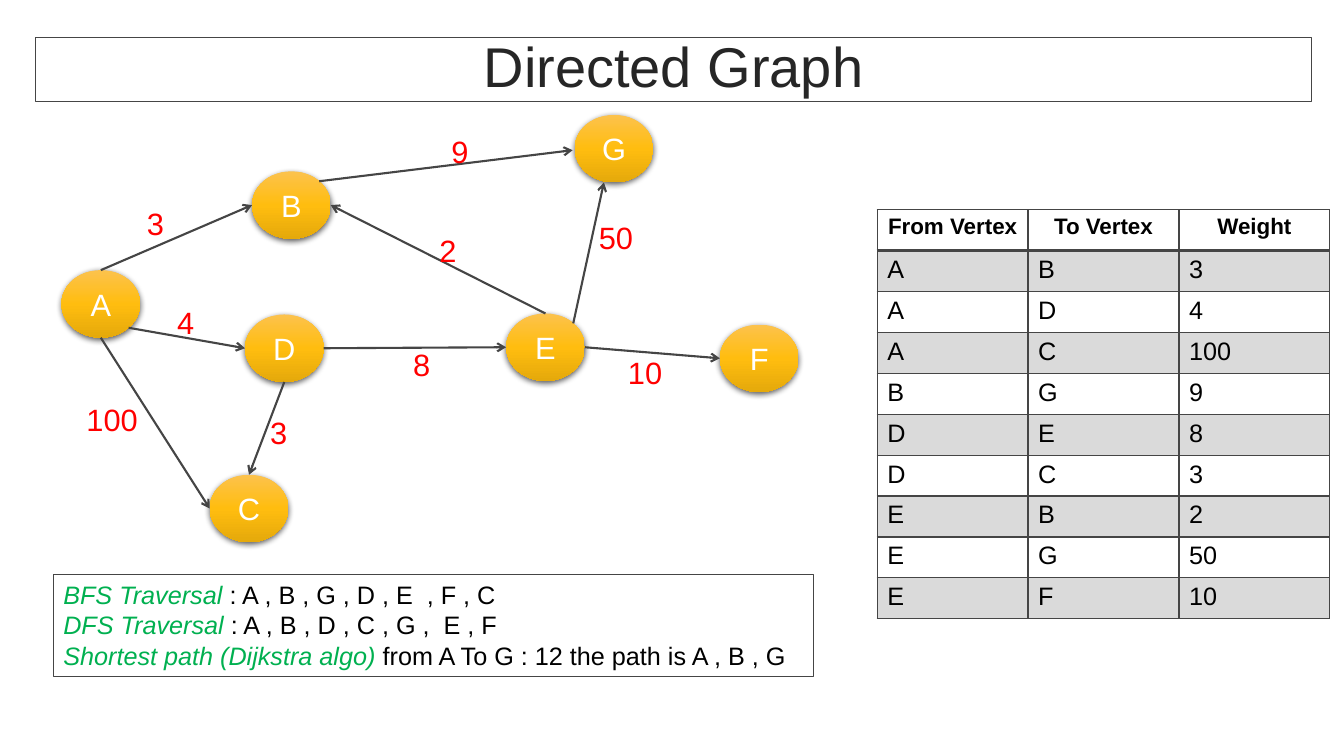
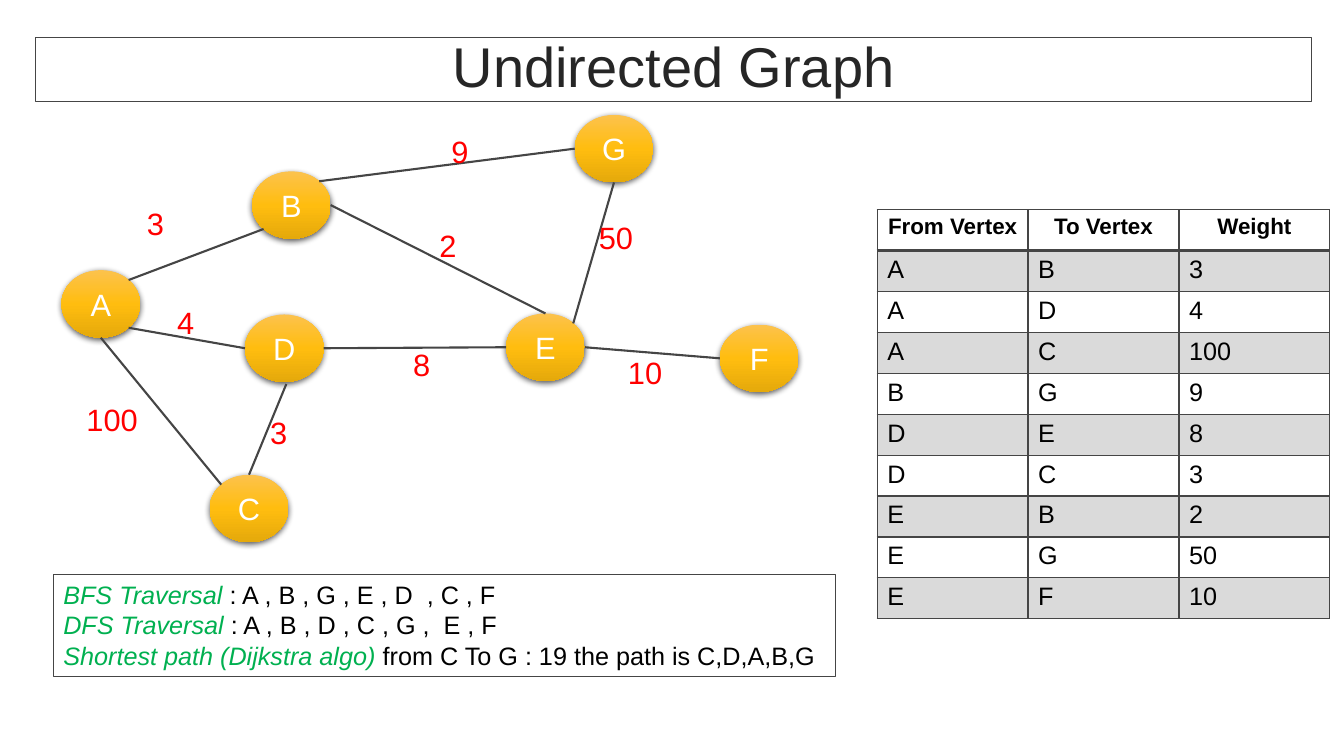
import math
from dataclasses import dataclass

import pptx
import pptx.dml.color
import pptx.enum.shapes
import pptx.enum.text
import pptx.oxml.ns
import pptx.util
from lxml import etree

Inches = pptx.util.Inches
Pt = pptx.util.Pt
SHAPE = pptx.enum.shapes.MSO_SHAPE
ALIGN = pptx.enum.text.PP_ALIGN
ANCHOR = pptx.enum.text.MSO_ANCHOR
FIT = pptx.enum.text.MSO_AUTO_SIZE


@dataclass(frozen=True)
class Theme:
    font: str = "Arial"
    paper: str = "FFFFFF"
    ink: str = "000000"
    heading: str = "262626"
    rule: str = "454545"
    band: str = "DADADA"
    weight: str = "FF0000"
    term: str = "00B050"
    vertex_stops: tuple = ((0, "FCC24D"), (50, "FFBD0F"), (100, "E5A90B"))
    title_size: int = 40
    graph_size: int = 22
    body_size: int = 18
    header_size: int = 16
    edge_width: float = 1.5


THEME = Theme()

VERTEX_SIZE = (0.78, 0.67)
VERTICES = {
    "A": (0.61, 2.68), "B": (2.5, 1.7), "C": (2.08, 4.71), "D": (2.43, 3.12),
    "E": (5.02, 3.11), "F": (7.14, 3.22), "G": (5.7, 1.14),
}
# Connection sites of an ellipse, counter-clockwise from the top
SITES = ["N", "NW", "W", "SW", "S", "SE", "E", "NE"]

# from, to, weight, label position, label width
EDGES = [
    ("A", "B", 3, (1.36, 1.98), 0.43),
    ("A", "D", 4, (1.66, 2.96), 0.43),
    ("A", "C", 100, (0.76, 3.93), 0.77),
    ("B", "G", 9, (4.38, 1.27), 0.43),
    ("D", "E", 8, (4, 3.38), 0.43),
    ("D", "C", 3, (2.58, 4.06), 0.43),
    ("E", "B", 2, (4.26, 2.25), 0.43),
    ("E", "G", 50, (5.84, 2.12), 0.58),
    ("E", "F", 10, (6.13, 3.46), 0.62),
]
TABLE_HEADER = ["From Vertex", "To Vertex", "Weight"]

# Each edge end is a connection site, or a free point beside the vertex
SHARED_ENDS = {"AD": ("SE", "W"), "DE": ("E", "W"), "EB": ("N", "E"), "EF": ("E", "W")}
GRAPHS = [
    dict(
        title="Directed Graph",
        directed=True,
        ends=SHARED_ENDS | {
            "AB": ("N", "W"), "AC": ("S", "W"), "BG": ("NE", (5.68, 1.49)),
            "DC": ("S", "N"), "EG": ("NE", (5.99, 1.81)),
        },
        label_shift={},
        results_width=7.54,
        results=[
            ("BFS Traversal ", ": A , B , G , D , E  , F , C"),
            ("DFS Traversal ", ": A , B , D , C , G ,  E , F"),
            ("Shortest path (Dijkstra algo) ", "from A To G : 12 the path is A , B , G"),
        ],
    ),
    dict(
        title="Undirected Graph",
        directed=False,
        ends=SHARED_ENDS | {
            "AB": ("NE", "SW"), "AC": ("S", "NW"), "BG": ("NE", "W"),
            "DC": ((2.84, 3.81), "N"), "EG": ("NE", "S"),
        },
        label_shift={"EB": -0.05},
        results_width=7.76,
        results=[
            ("BFS Traversal ", ": A , B , G , E , D  , C , F"),
            ("DFS Traversal ", ": A , B , D , C , G ,  E , F"),
            ("Shortest path (Dijkstra algo) ", "from C To G : 19 the path is C,D,A,B,G"),
        ],
    ),
]


def rgb(colour):
    return pptx.dml.color.RGBColor.from_string(colour)


def add_xml(parent, tag, **attributes):
    values = {name: str(value) for name, value in attributes.items()}
    return etree.SubElement(parent, pptx.oxml.ns.qn(tag), values)


def write(frame, paragraphs, size, colour=THEME.ink, bold=False, align=ALIGN.LEFT,
          anchor=ANCHOR.TOP, fit=FIT.NONE, line_spacing=None, space_before=None):
    """Fill a frame; a paragraph is a string or a list of (text, colour, italic)."""
    frame.word_wrap = True
    frame.vertical_anchor = anchor
    frame.auto_size = fit
    for index, content in enumerate(paragraphs):
        paragraph = frame.add_paragraph() if index else frame.paragraphs[0]
        paragraph.alignment = align
        paragraph.line_spacing = line_spacing
        paragraph.space_before = space_before
        runs = [(content, colour, False)] if isinstance(content, str) else content
        for text, run_colour, italic in runs:
            run = paragraph.add_run()
            run.text = text
            run.font.name = THEME.font
            run.font.size = Pt(size)
            run.font.bold = bold
            run.font.italic = italic
            run.font.color.rgb = rgb(run_colour)


def add_panel(slide, left, top, width, height):
    panel = slide.shapes.add_shape(
        SHAPE.RECTANGLE, Inches(left), Inches(top), Inches(width), Inches(height))
    panel.shadow.inherit = False
    panel.fill.solid()
    panel.fill.fore_color.rgb = rgb(THEME.paper)
    panel.line.color.rgb = rgb(THEME.rule)
    panel.line.width = Pt(1)
    return panel


def add_vertex(slide, name, left, top):
    vertex = slide.shapes.add_shape(
        SHAPE.OVAL, Inches(left), Inches(top), *map(Inches, VERTEX_SIZE))
    vertex.line.fill.background()
    vertex.fill.gradient()
    vertex.fill.gradient_angle = 270
    stops = vertex._element.spPr.find(".//" + pptx.oxml.ns.qn("a:gsLst"))
    for stop in list(stops):
        stops.remove(stop)
    for percent, colour in THEME.vertex_stops:
        stop = add_xml(stops, "a:gs", pos=percent * 1000)
        add_xml(stop, "a:srgbClr", val=colour)

    vertex.shadow.inherit = False
    effects = vertex._element.spPr.find(pptx.oxml.ns.qn("a:effectLst"))
    shadow = add_xml(effects, "a:outerShdw", blurRad=Pt(4.5), dist=Pt(1.5),
                     dir=5400000, algn="ctr", rotWithShape=0)
    add_xml(add_xml(shadow, "a:srgbClr", val=THEME.ink), "a:alpha", val=63000)

    write(vertex.text_frame, [name], THEME.graph_size, colour=THEME.paper,
          align=ALIGN.CENTER, anchor=ANCHOR.MIDDLE)
    return vertex


def end_point(name, end):
    """Position of a connection site on a vertex, or the free point itself."""
    if end not in SITES:
        return end
    angle = math.radians(90 + 45 * SITES.index(end))
    (left, top), (width, height) = VERTICES[name], VERTEX_SIZE
    return (left + width / 2 * (1 + math.cos(angle)),
            top + height / 2 * (1 - math.sin(angle)))


def add_edge(slide, vertices, names, ends, directed):
    points = [end_point(name, end) for name, end in zip(names, ends)]
    edge = slide.shapes.add_connector(
        pptx.enum.shapes.MSO_CONNECTOR.STRAIGHT,
        *(Inches(value) for point in points for value in point))
    edge.line.color.rgb = rgb(THEME.rule)
    edge.line.width = Pt(THEME.edge_width)
    if directed:
        add_xml(edge.line._get_or_add_ln(), "a:tailEnd", type="arrow")
    add_xml(edge._element.spPr, "a:effectLst")

    joints = edge._element.nvCxnSpPr.cNvCxnSpPr
    for tag, name, end in zip(("a:stCxn", "a:endCxn"), names, ends):
        if end in SITES:
            add_xml(joints, tag, id=vertices[name].shape_id, idx=SITES.index(end))


def add_weight(slide, weight, left, top, width):
    label = slide.shapes.add_textbox(
        Inches(left), Inches(top), Inches(width), Inches(0.47))
    write(label.text_frame, [str(weight)], THEME.graph_size, colour=THEME.weight,
          fit=FIT.SHAPE_TO_FIT_TEXT)


def set_borders(cell, **widths):
    """Rule a cell; the keywords L, R, T and B give widths in points."""
    properties = cell._tc.get_or_add_tcPr()
    for index, (side, width) in enumerate(widths.items()):
        border = add_xml(properties, "a:ln" + side, w=Pt(width))
        add_xml(add_xml(border, "a:solidFill"), "a:srgbClr", val=THEME.rule)
        properties.insert(index, border)


def add_edge_table(slide):
    rows = [TABLE_HEADER] + [edge[:3] for edge in EDGES]
    table = slide.shapes.add_table(
        len(rows), len(TABLE_HEADER),
        Inches(8.7), Inches(2.08), Inches(4.49), Inches(4.06)).table
    table.horz_banding = False
    for row_index, row in enumerate(rows):
        header = row_index == 0
        for column_index, value in enumerate(row):
            cell = table.cell(row_index, column_index)
            if row_index % 2:
                cell.fill.solid()
                cell.fill.fore_color.rgb = rgb(THEME.band)
            else:
                cell.fill.background()
            write(cell.text_frame, [str(value)],
                  THEME.header_size if header else THEME.body_size, bold=header,
                  align=ALIGN.CENTER if header else ALIGN.LEFT)
            set_borders(cell, L=1, R=1, T=2 if row_index == 1 else 1, B=2 if header else 1)


def add_graph_slide(deck, graph):
    slide = deck.slides.add_slide(deck.slide_layouts[6])
    title = add_panel(slide, 0.35, 0.37, 12.66, 0.64)
    write(title.text_frame, [graph["title"]], THEME.title_size, colour=THEME.heading,
          align=ALIGN.CENTER, anchor=ANCHOR.MIDDLE, line_spacing=0.9, space_before=Pt(10))

    vertices = {name: add_vertex(slide, name, *spot) for name, spot in VERTICES.items()}
    for start, finish, *_ in EDGES:
        add_edge(slide, vertices, (start, finish), graph["ends"][start + finish],
                 graph["directed"])
    for start, finish, weight, (left, top), width in EDGES:
        shift = graph["label_shift"].get(start + finish, 0)
        add_weight(slide, weight, left, top + shift, width)

    add_edge_table(slide)
    results = add_panel(slide, 0.53, 5.7, graph["results_width"], 1.01)
    write(results.text_frame,
          [[(term, THEME.term, True), (answer, THEME.ink, False)]
           for term, answer in graph["results"]],
          THEME.body_size, fit=FIT.SHAPE_TO_FIT_TEXT)


def main():
    deck = pptx.Presentation()
    deck.slide_width, deck.slide_height = Inches(13.33), Inches(7.5)
    for graph in GRAPHS:
        add_graph_slide(deck, graph)
    deck.save("out.pptx")


if __name__ == "__main__":
    main()
